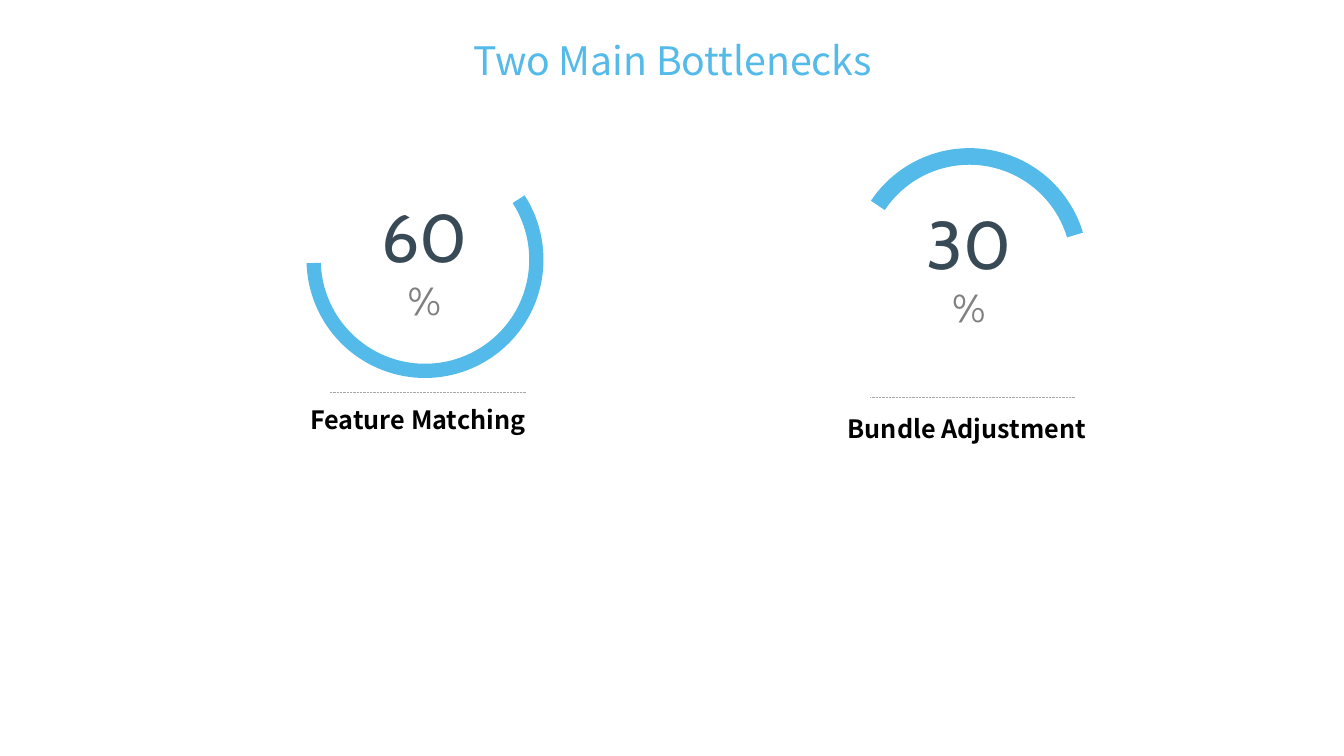
"""Build the slide that shows the two main bottlenecks as percentage arcs."""
from dataclasses import dataclass

from lxml import etree
from pptx import Presentation
from pptx import util as u
from pptx.dml.color import RGBColor
from pptx.enum import dml, shapes, text
from pptx.oxml import ns


@dataclass(frozen=True)
class Theme:
    blue: str = "53BAE9"
    slate: str = "394A57"
    grey: str = "808080"
    rule: str = "A6A6A6"
    black: str = "000000"
    body_font: str = "Noto Sans CJK SC"
    number_font: str = "Cabin"
    title_size: int = 28
    number_size: int = 48
    unit_size: int = 28
    label_size: int = 18


theme = Theme()


def add_text(page, place, words, styles, wrap=False, align=text.PP_ALIGN.CENTER):
    """Add a middle-anchored text box with one style per run."""
    box = page.shapes.add_textbox(*map(u.Inches, place))
    frame = box.text_frame
    frame.word_wrap = wrap
    frame.auto_size = text.MSO_AUTO_SIZE.SHAPE_TO_FIT_TEXT
    frame.vertical_anchor = text.MSO_ANCHOR.MIDDLE
    para = frame.paragraphs[0]
    para.text = words
    para.alignment = align
    for span, (font, size, color, bold) in zip(para.runs, styles):
        span.font.name = font
        span.font.size = u.Pt(size)
        span.font.color.rgb = RGBColor.from_string(color)
        span.font.bold = bold
        east_asian = etree.SubElement(span.font._element, ns.qn("a:ea"))
        east_asian.set("typeface", font)


deck = Presentation()
deck.slide_width = u.Inches(13.33)
deck.slide_height = u.Inches(7.5)
page = deck.slides.add_slide(deck.slide_layouts[6])

title_style = (theme.body_font, theme.title_size, theme.blue, False)
label_style = (theme.body_font, theme.label_size, theme.black, True)
number_style = (theme.number_font, theme.number_size, theme.slate, False)
unit_style = (theme.number_font, theme.unit_size, theme.grey, False)

add_text(page, (4.53, 0.31, 4.28, 0.57), "Two Main Bottlenecks", [title_style])

bottlenecks = [
    ("Feature Matching", "60", (3.04, 1.4), (196.32, 106.92, 0.06),
     (3.27, 5.22, 3.89), (2.98, 3.81, 2.62, 0.71)),
    ("Bundle Adjustment", "30", (8.44, 1.47), (128.26, 206, 0.07),
     (8.63, 10.66, 3.94), (8.31, 3.9, 2.73, 0.71)),
]

for label, number, (left, top), angles, (start, end, level), label_place in bottlenecks:
    rule = page.shapes.add_connector(
        shapes.MSO_CONNECTOR.STRAIGHT,
        u.Inches(start), u.Inches(level), u.Inches(end), u.Inches(level))
    rule.line.color.rgb = RGBColor.from_string(theme.rule)
    rule.line.width = u.Pt(0.5)
    rule.line.dash_style = dml.MSO_LINE.ROUND_DOT
    etree.SubElement(rule._element.spPr, ns.qn("a:effectLst"))

    add_text(page, label_place, label, [label_style], True, text.PP_ALIGN.LEFT)

    arc = page.shapes.add_shape(
        shapes.MSO_SHAPE.BLOCK_ARC,
        u.Inches(left), u.Inches(top), u.Inches(2.35), u.Inches(2.35))
    for index, angle in enumerate(angles):
        arc.adjustments[index] = angle
    arc.shadow.inherit = False
    arc.fill.solid()
    arc.fill.fore_color.rgb = RGBColor.from_string(theme.blue)
    arc.line.fill.background()

    add_text(page, (left + 0.57, top + 0.72, 1.2, 0.91),
             f"{number}\v%", [number_style, unit_style])

deck.save("out.pptx")
